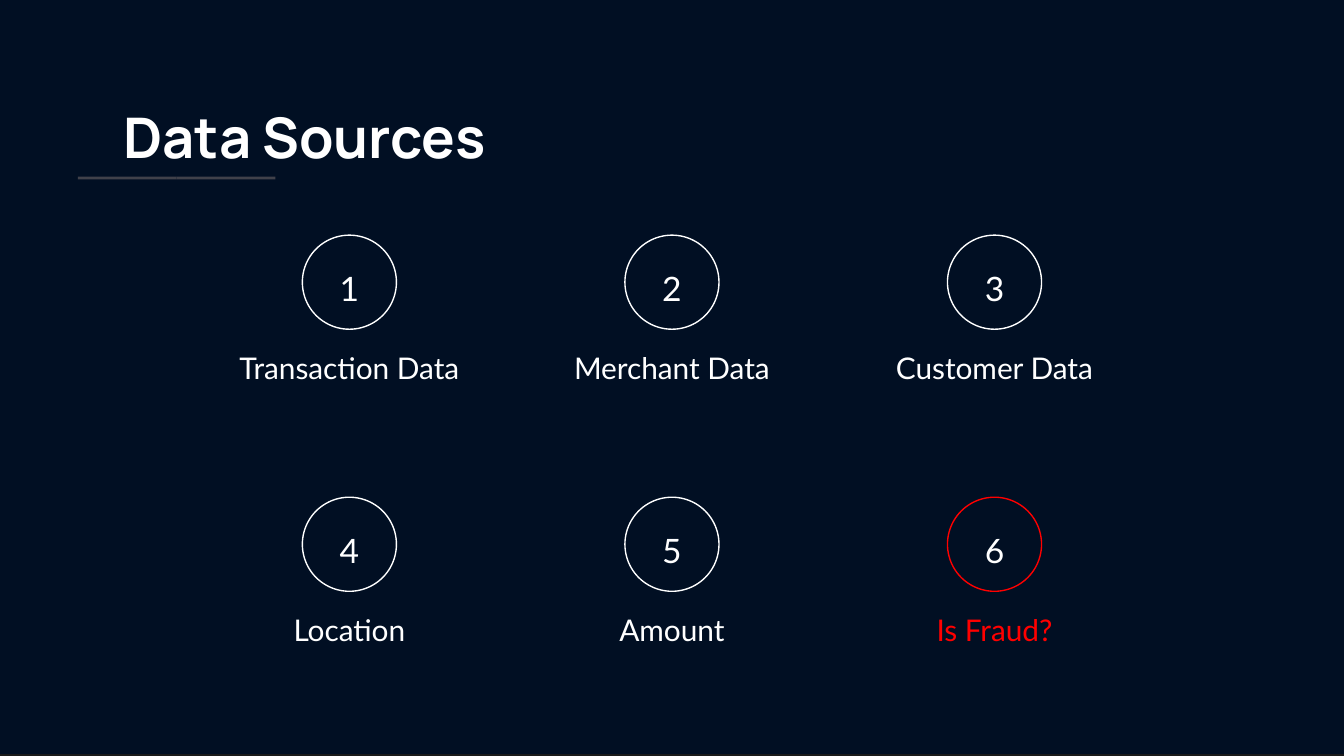
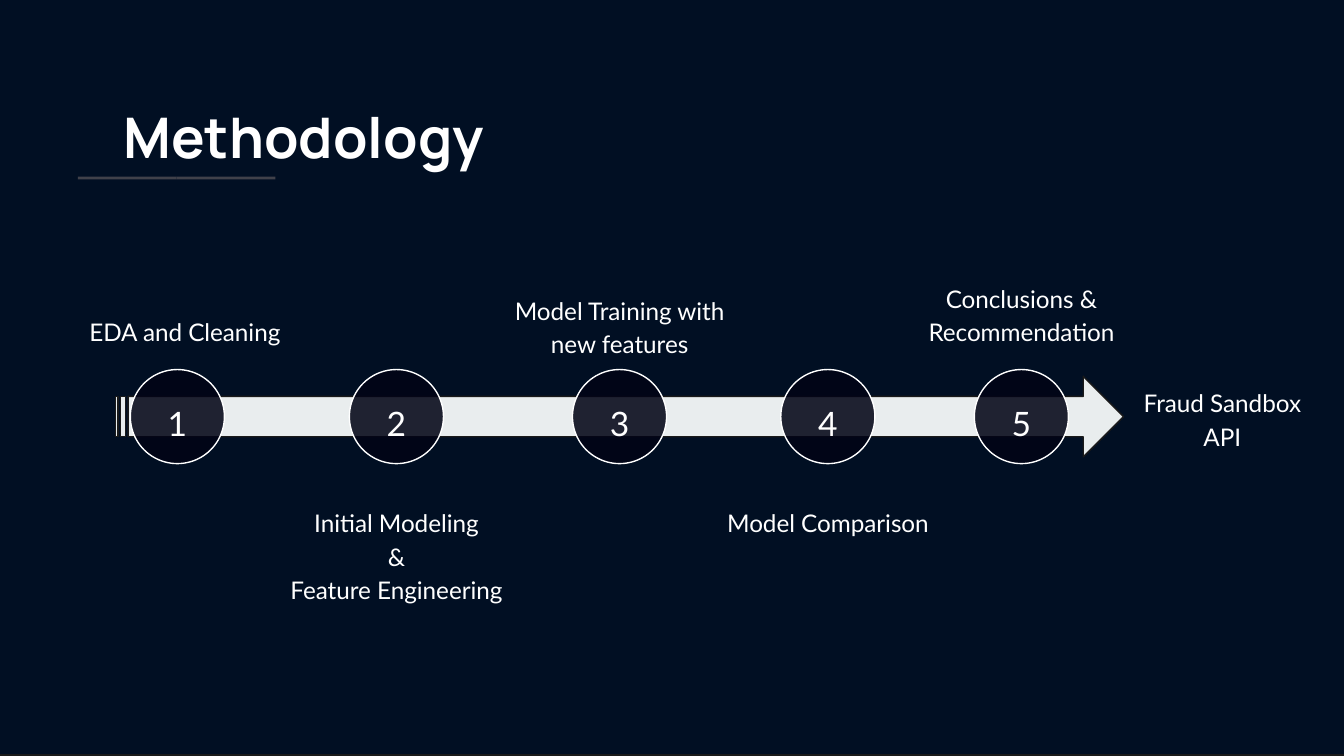
import copy

import pptx
import pptx.dml.color
import pptx.enum.shapes
import pptx.enum.text
import pptx.oxml
import pptx.oxml.ns
import pptx.util

RGB = pptx.dml.color.RGBColor
KIND = pptx.enum.shapes.MSO_SHAPE
ALIGN = pptx.enum.text.PP_ALIGN
FIT = pptx.enum.text.MSO_AUTO_SIZE
Pt = pptx.util.Pt
qn = pptx.oxml.ns.qn

NAVY = RGB(0x07, 0x37, 0x63)
VEIL = RGB(0x00, 0x02, 0x0E)
DISC = RGB(0x02, 0x04, 0x16)
EDGE = RGB(0x1A, 0x1A, 0x1A)
PALE = RGB(0xE9, 0xED, 0xEE)
WHITE = RGB(0xFF, 0xFF, 0xFF)
RED = RGB(0xFF, 0x00, 0x00)

# The slide is a grid of square cells, 100 across and 56.25 down.
WIDTH = pptx.util.Inches(10)
CELL = WIDTH / 100
ROWS = 56.25

TITLE = {"name": "Manrope", "size": Pt(30), "bold": True}
DIGIT = {"name": "Lato", "size": Pt(18)}
LABEL = {"name": "Lato", "size": Pt(16)}
STEP = {"name": "Lato", "size": Pt(13)}
TITLE_PARA = {"alignment": ALIGN.LEFT}
BODY_PARA = {"alignment": ALIGN.CENTER, "line_spacing": 1.15, "space_after": Pt(16)}

RING = 7  # diameter of a numbered ring, in cells

SOURCES = ["Transaction Data", "Merchant Data", "Customer Data",
           "Location", "Amount", "Is Fraud?"]

# middle of the ring, middle of the label, top of the label, lines, text
STEPS = [
    (13.2, 13.75, 22.3, 1, "EDA and Cleaning"),
    (29.5, 29.5, 36.5, 3, "Initial Modeling\n&\nFeature Engineering"),
    (46.1, 46.1, 20.7, 2, "Model Training with\nnew features"),
    (61.6, 61.6, 36.5, 1, "Model Comparison"),
    (76, 76, 19.8, 2, "Conclusions & Recommendation"),
]


def cells(*sizes):
    return [round(size * CELL) for size in sizes]


def apply(target, values):
    for name, value in values.items():
        setattr(target, name, value)


def shape(shapes, kind, box, fill=None, line=None, alpha=None):
    """Add a preset shape; alpha is the opacity of its fill in percent."""
    item = shapes.add_shape(kind, *cells(*box))
    item.shadow.inherit = False
    if fill is None:
        item.fill.background()
    else:
        item.fill.solid()
        item.fill.fore_color.rgb = fill
    if alpha is not None:
        tone = item.fill._xPr.find(qn("a:solidFill"))[0]
        mark = pptx.oxml.parse_xml(
            '<a:alpha xmlns:a="http://schemas.openxmlformats.org/drawingml/2006/main"'
            f' val="{alpha * 1000}"/>')
        tone.append(mark)
    if line is None:
        item.line.fill.background()
    else:
        item.line.color.rgb = line
        item.line.width = Pt(0.75)
    return item


def text(shapes, box, words, font, color=WHITE, para=BODY_PARA, fit=FIT.SHAPE_TO_FIT_TEXT):
    frame = shapes.add_textbox(*cells(*box)).text_frame
    apply(frame, {"word_wrap": True, "auto_size": fit})
    inset = cells(1)[0]
    apply(frame, {f"margin_{side}": inset for side in ("left", "top", "right", "bottom")})
    line = frame.paragraphs[0]
    line.text = words
    apply(line, para)
    for run in line.runs:
        apply(run.font, font)
        run.font.color.rgb = color
    # Line breaks take the size of the words around them.
    for gap in line._p.findall(qn("a:br")):
        gap.insert(0, copy.deepcopy(line.runs[0]._r.rPr))


def badge(shapes, mid, top, num, line=WHITE, **fill):
    """Add a numbered ring centred on the column mid."""
    shape(shapes, KIND.OVAL, (mid - RING / 2, top, RING, RING), line=line, **fill)
    text(shapes, (mid - 3.2, top + 1, 6.4, 5), str(num), DIGIT)


def page(deck, title, wide, high):
    """Add a slide with the shared ground, rule and title."""
    slide = deck.slides.add_slide(deck.slide_layouts[6])
    ground = slide.background.fill
    ground.solid()
    ground.fore_color.rgb = NAVY
    for part in range(2):
        shape(slide.shapes, KIND.RECTANGLE, (5.8 + 7.35 * part, 13.15, 7.35, 0.2), WHITE)
    shape(slide.shapes, KIND.RECTANGLE, (-1.9, -2.4, 103.7, 58.6), VEIL, EDGE, 75)
    text(slide.shapes, (8.2, 6.6, wide, high), title, TITLE,
         para=TITLE_PARA, fit=FIT.NONE)
    return slide.shapes


def sources(deck):
    shapes = page(deck, "Data Sources", 31.3, 16.6)
    for num, words in enumerate(SOURCES):
        row, col = divmod(num, 3)
        mid, top = 26 + 24 * col, 17.5 + 19.5 * row
        color = RED if num == len(SOURCES) - 1 else WHITE
        badge(shapes, mid, top, num + 1, color)
        text(shapes, (mid - 9.9, top + 7.1, 19.8, 4.7), words, LABEL, color)


def method(deck):
    shapes = page(deck, "Methodology", 45.5, 7.5)
    shape(shapes, KIND.STRIPED_RIGHT_ARROW, (8.6, 28, 75, 6), PALE, EDGE)
    for num, (mid, center, top, lines, words) in enumerate(STEPS, 1):
        group = shapes.add_group_shape()
        badge(group.shapes, mid, 27.5, num, fill=DISC, alpha=87)
        text(shapes, (center - 12.2, top, 24.4, 1.7 + 2.5 * lines), words, STEP)
    text(shapes, (83.3, 27.6, 15.3, 6.7), "Fraud Sandbox API", STEP)


def main():
    deck = pptx.Presentation()
    apply(deck, {"slide_width": WIDTH, "slide_height": cells(ROWS)[0]})
    sources(deck)
    method(deck)
    deck.save("out.pptx")


if __name__ == "__main__":
    main()
